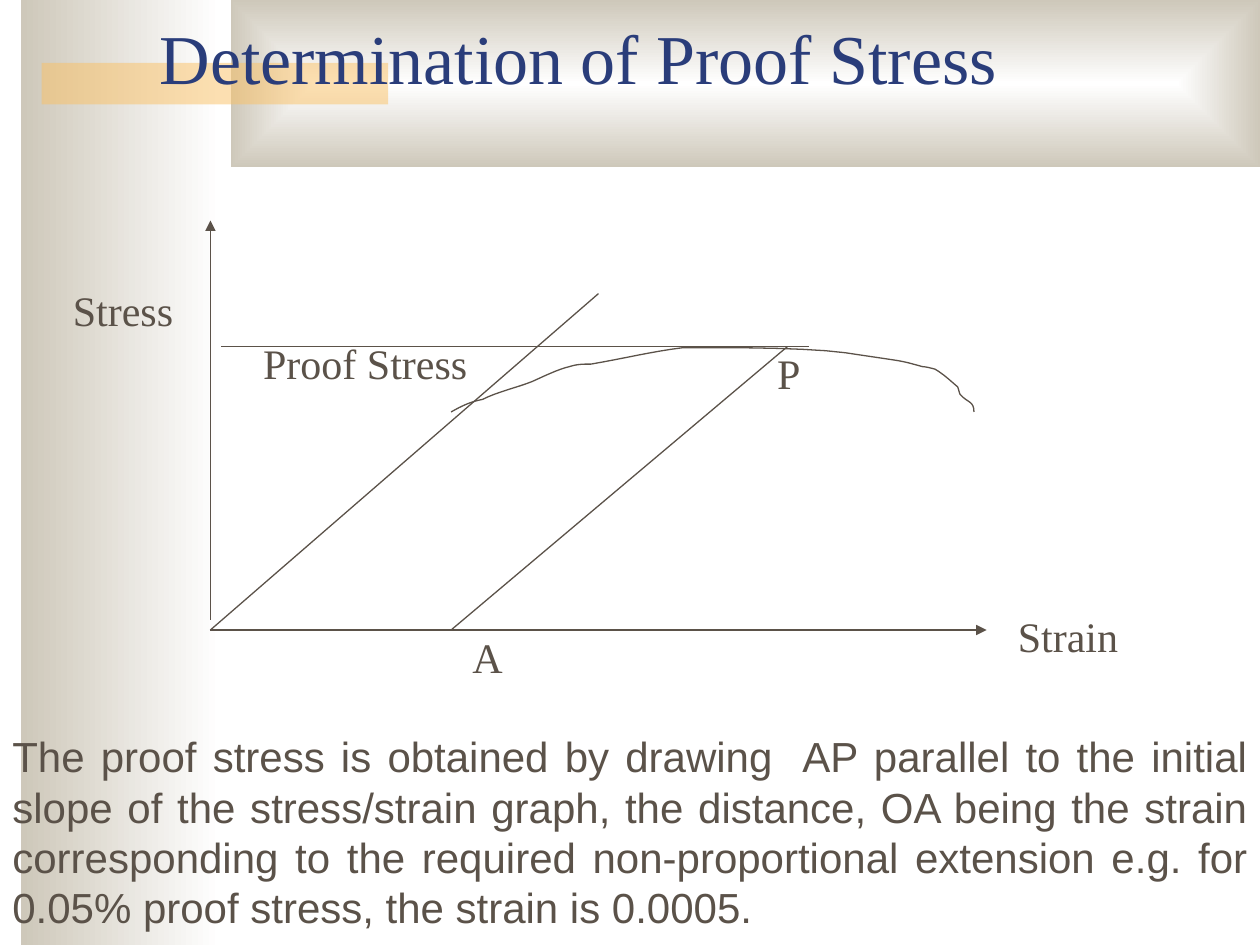
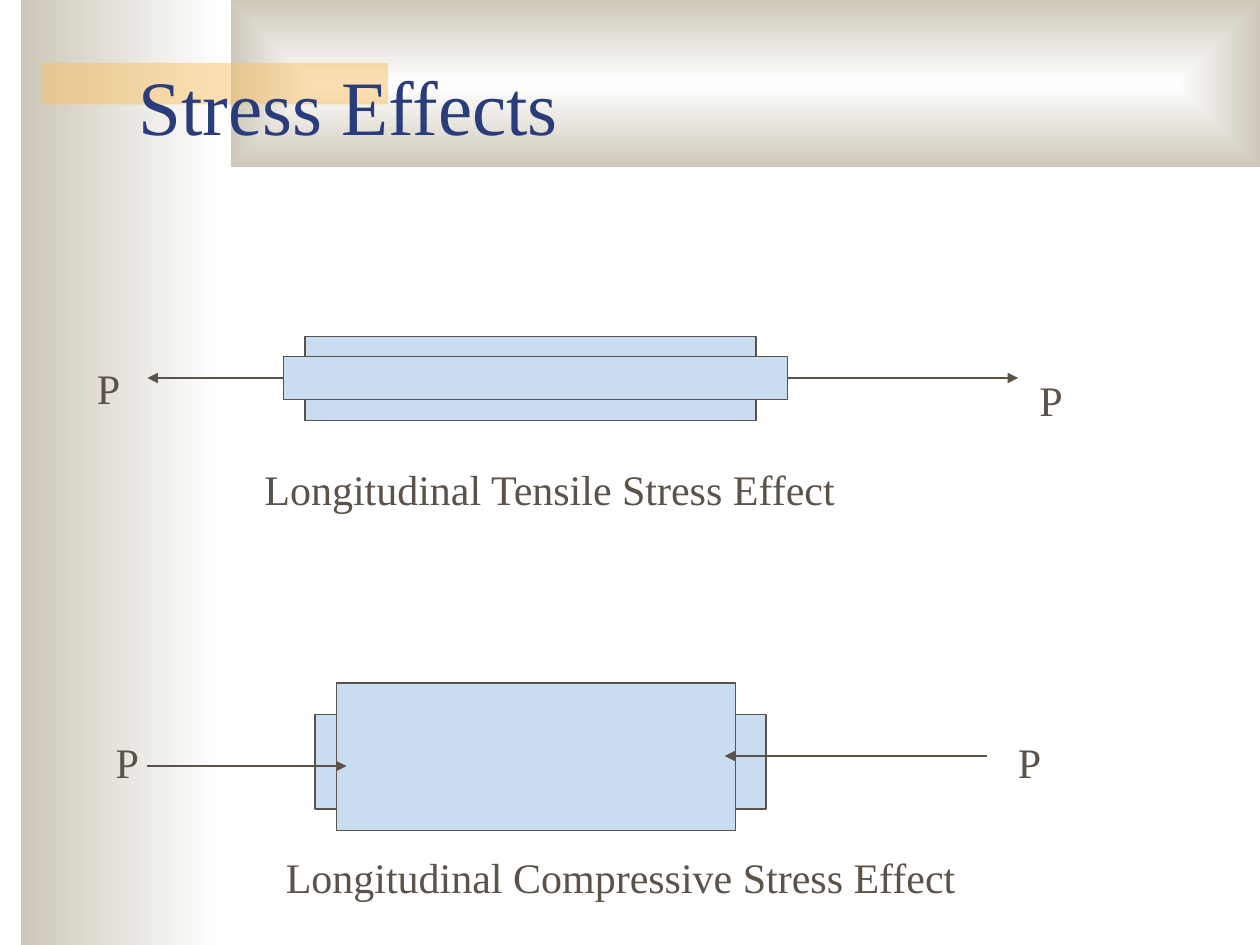
from lxml import etree
from pptx import Presentation
from pptx.dml.color import RGBColor
from pptx.enum import shapes, text
from pptx.oxml import ns
from pptx.util import Inches, Pt

INK = RGBColor(0x5B, 0x52, 0x49)
NAVY = RGBColor(0x2A, 0x3D, 0x7A)
STEEL = RGBColor(0xC9, 0xDD, 0xF1)
AMBER = RGBColor(0xFA, 0xC1, 0x64)
STONE = RGBColor(0xCE, 0xC8, 0xBA)
WHITE = RGBColor(0xFF, 0xFF, 0xFF)
SERIF, SANS = "Times New Roman", "Arial"

CURVE_START = (3.58, 3.27)
CURVE = [
    (3.67, 3.22, 3.73, 3.19, 3.83, 3.17),
    (3.95, 3.11, 4.09, 3.08, 4.22, 3.03),
    (4.31, 2.99, 4.43, 2.93, 4.52, 2.91),
    (4.58, 2.89, 4.63, 2.89, 4.69, 2.89),
    (4.93, 2.85, 5.17, 2.79, 5.42, 2.76),
    (5.54, 2.76, 6.34, 2.75, 6.71, 2.8),
    (6.84, 2.82, 6.98, 2.84, 7.11, 2.86),
    (7.18, 2.87, 7.25, 2.89, 7.32, 2.91),
    (7.35, 2.91, 7.42, 2.93, 7.42, 2.93),
    (7.49, 2.97, 7.54, 3.02, 7.6, 3.07),
    (7.61, 3.09, 7.61, 3.11, 7.62, 3.13),
    (7.68, 3.2, 7.73, 3.18, 7.73, 3.27),
]


def child(parent, tag, **attrs):
    return etree.SubElement(parent, ns.qn(tag), attrs)


class Deck:
    """Draws styled elements on the current slide."""

    def __init__(self):
        self.prs = Presentation()
        self.prs.slide_width, self.prs.slide_height = Inches(10), Inches(7.5)

    def slide(self, title, x, y, w, h, size):
        self.s = self.prs.slides.add_slide(self.prs.slide_layouts[6])
        self.gradient(self.rect(0.17, 0, 1.58, 7.5, line=None), 180)
        self.gradient(self.rect(1.83, 0, 8.17, 1.33, line=None))
        bar = self.rect(0.33, 0.5, 2.75, 0.33, AMBER, None)
        color = bar._element.spPr.find(".//" + ns.qn("a:srgbClr"))
        child(color, "a:alpha", val="50000")
        tf = self.label(title, x, y, w, h, size, NAVY)
        tf.auto_size = text.MSO_AUTO_SIZE.NONE
        tf.vertical_anchor = text.MSO_ANCHOR.BOTTOM

    def rect(self, x, y, w, h, fill=STEEL, line=INK):
        sp = self.s.shapes.add_shape(
            shapes.MSO_SHAPE.RECTANGLE, Inches(x), Inches(y), Inches(w), Inches(h))
        sp.shadow.inherit = False
        sp.fill.solid()
        sp.fill.fore_color.rgb = fill
        self.outline(sp, line)
        return sp

    def outline(self, sp, color=INK):
        if color is None:
            sp.line.fill.background()
        else:
            sp.line.color.rgb = color
            sp.line.width = Pt(0.75)

    def gradient(self, sp, angle=None):
        sp.fill.gradient()
        for stop, pos, color in zip(sp.fill.gradient_stops, (0, 1), (WHITE, STONE)):
            stop.position = pos
            stop.color.rgb = color
        if angle is not None:
            sp.fill.gradient_angle = angle
            return
        lin = sp._element.spPr.find(".//" + ns.qn("a:lin"))
        rings = child(lin.getparent(), "a:path", path="rect")
        child(rings, "a:fillToRect", l="50000", t="50000", r="50000", b="50000")
        lin.getparent().replace(lin, rings)

    def label(self, words, x, y, w, h=0.5, size=24, color=INK, font=SERIF):
        tf = self.s.shapes.add_textbox(
            Inches(x), Inches(y), Inches(w), Inches(h)).text_frame
        tf.text = words
        tf.word_wrap = True
        tf.auto_size = text.MSO_AUTO_SIZE.SHAPE_TO_FIT_TEXT
        r = tf.paragraphs[0].runs[0]
        r.font.size, r.font.name = Pt(size), font
        r.font.color.rgb = color
        return tf

    def line(self, x1, y1, x2, y2, arrow=False, start=None):
        cx = self.s.shapes.add_connector(
            shapes.MSO_CONNECTOR.STRAIGHT, Inches(x1), Inches(y1), Inches(x2), Inches(y2))
        if start:
            cx.begin_connect(*start)
        self.outline(cx)
        if arrow:
            child(cx.line._get_or_add_ln(), "a:tailEnd", type="triangle")
        child(cx._element.spPr, "a:effectLst")

    def curve(self, start, segments, steps=8):
        points, (x0, y0) = [start], start
        for x1, y1, x2, y2, x3, y3 in segments:
            for t in (i / steps for i in range(1, steps + 1)):
                a, b, c, d = (1 - t) ** 3, 3 * t * (1 - t) ** 2, 3 * t * t * (1 - t), t ** 3
                points.append((a * x0 + b * x1 + c * x2 + d * x3,
                               a * y0 + b * y1 + c * y2 + d * y3))
            x0, y0 = x3, y3
        first, *rest = [(Inches(x), Inches(y)) for x, y in points]
        builder = self.s.shapes.build_freeform(*first)
        builder.add_line_segments(rest, close=False)
        sp = builder.convert_to_shape()
        sp.shadow.inherit = False
        sp.fill.background()
        self.outline(sp)


def proof_stress(deck):
    deck.slide("Determination of Proof Stress", 1.17, 0.25, 8.5, 0.58, 40)
    deck.line(1.67, 5, 7.83, 5, arrow=True)
    deck.line(1.67, 4.92, 1.67, 1.75, arrow=True)
    deck.line(1.67, 5, 4.75, 2.33)
    deck.curve(CURVE_START, CURVE)
    deck.line(6.42, 2.75, 1.75, 2.75)
    deck.line(3.58, 5, 6.25, 2.75)
    for words, x, y, w in [("P", 6.07, 2.71, 0.43), ("Proof Stress", 1.99, 2.63, 1.9),
                           ("Stress", 0.48, 2.21, 1.1), ("A", 3.65, 4.96, 0.5),
                           ("Strain", 7.98, 4.8, 1.1)]:
        deck.label(words, x, y, w)
    tf = deck.label(
        "The proof stress is obtained by drawing  AP parallel to the initial slope of "
        "the stress/strain graph, the distance, OA being the strain corresponding to "
        "the required non-proportional extension e.g. for 0.05% proof stress, the "
        "strain is 0.0005.", 0, 5.75, 10, 1.7, font=SANS)
    tf.paragraphs[0].alignment = text.PP_ALIGN.JUSTIFY


def stress_effects(deck):
    deck.slide("Stress Effects", 1, 0, 8.5, 1.25, 44)
    deck.rect(2.42, 2.67, 3.58, 0.67)
    stretched = deck.rect(2.25, 2.83, 4, 0.34)
    deck.line(2.25, 3, 1.17, 3, True, (stretched, 1))
    deck.line(6.25, 3, 8.08, 3, True, (stretched, 3))
    deck.rect(2.5, 5.67, 3.58, 0.75)
    deck.rect(2.67, 5.42, 3.17, 1.17)
    deck.line(1.17, 6.08, 2.75, 6.08, True)
    deck.line(7.83, 6, 5.75, 6, True)
    for x, y in [(8.15, 2.92), (0.67, 2.83), (7.98, 5.8), (0.82, 5.8)]:
        deck.label("P", x, y, 0.43)
    deck.label("Longitudinal Tensile Stress Effect", 2, 3.63, 5.91)
    deck.label("Longitudinal Compressive Stress Effect", 2.17, 6.71, 6.34)


def main():
    deck = Deck()
    proof_stress(deck)
    stress_effects(deck)
    deck.prs.save("out.pptx")


if __name__ == "__main__":
    main()
